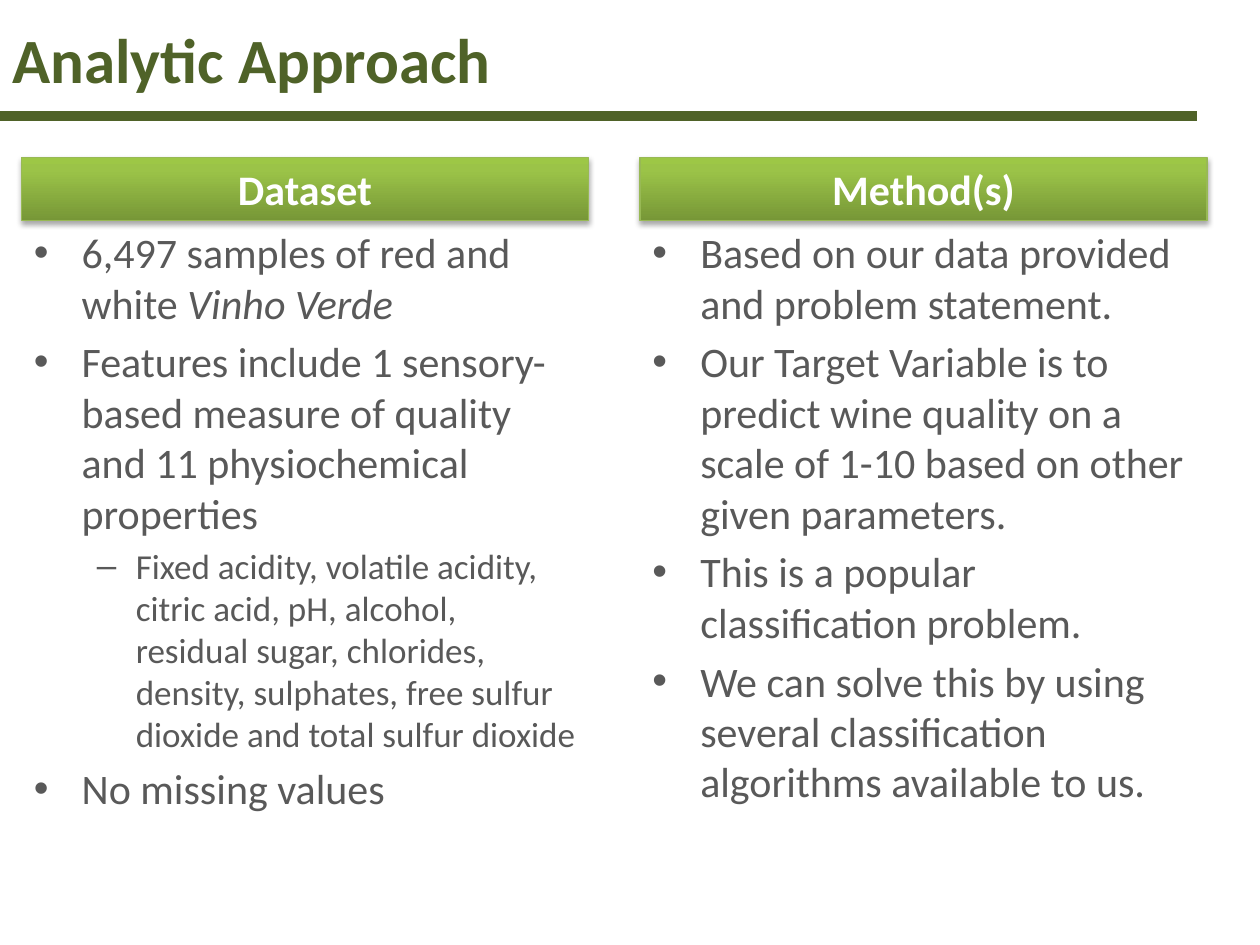
from dataclasses import dataclass

from lxml import etree
from pptx import Presentation
from pptx.dml.color import RGBColor
from pptx.enum.shapes import MSO_CONNECTOR as Connector, MSO_SHAPE as Shape
from pptx.enum.text import MSO_ANCHOR as Anchor, PP_ALIGN as Align
from pptx.oxml import parse_xml
from pptx.oxml.ns import nsdecls, qn
from pptx.util import Inches, Pt

OLIVE, GREY, WHITE, BORDER = "4F6228", "595959", "FFFFFF", "98B955"
HEADER_STOPS = ((0, "779737"), (80, "9BC348"), (100, "9DC746"))
COLUMN_WIDTH, HEADER_TOP, HEADER_HEIGHT, BODY_HEIGHT = 4.5, 1.25, 0.5, 5.25


@dataclass(frozen=True)
class Level:
    mark: str
    margin: float
    hanging: float
    size: int


@dataclass(frozen=True)
class Bullet:
    text: str
    italic_end: str = ""
    level: int = 0


@dataclass(frozen=True)
class Column:
    left: float
    heading: str
    bullets: tuple[Bullet, ...]


LEVELS = (Level("•", 0.38, 0.38, 24), Level("–", 0.81, 0.31, 20))

COLUMNS = (
    Column(0.17, "Dataset", (
        Bullet("6,497 samples of red and white ", italic_end="Vinho Verde"),
        Bullet("Features include 1 sensory-based measure of quality "
               "and 11 physiochemical properties"),
        Bullet("Fixed acidity, volatile acidity, citric acid, pH, alcohol, "
               "residual sugar, chlorides, density, sulphates, free sulfur "
               "dioxide and total sulfur dioxide", level=1),
        Bullet("No missing values"),
    )),
    Column(5.08, "Method(s)", (
        Bullet("Based on our data provided and problem statement."),
        Bullet("Our Target Variable is to predict wine quality on a scale "
               "of 1-10 based on other given parameters."),
        Bullet("This is a popular classification problem."),
        Bullet("We can solve this by using several classification "
               "algorithms available to us."),
    )),
)


def rgb(value: str) -> RGBColor:
    return RGBColor.from_string(value)


def add_span(para, text: str, color: str, **formats) -> None:
    span = para.add_run()
    span.text = text
    span.font.color.rgb = rgb(color)
    for name, value in {"name": "Calibri", **formats}.items():
        setattr(span.font, name, value)


def add_text_box(page, left: float, top: float, width: float, height: float):
    box = page.shapes.add_textbox(*map(Inches, (left, top, width, height)))
    box.text_frame.word_wrap = True
    return box.text_frame


def add_title(page, text: str) -> None:
    frame = add_text_box(page, 0, 0.01, 9.5, 0.91)
    frame.vertical_anchor = Anchor.MIDDLE
    add_span(frame.paragraphs[0], text, OLIVE, size=Pt(36), bold=True)


def add_rule(page) -> None:
    rule = page.shapes.add_connector(
        Connector.STRAIGHT, Inches(0), Inches(0.92), Inches(9.5), Inches(0.92))
    rule.line.color.rgb = rgb(OLIVE)
    rule.line.width = Pt(6)
    etree.SubElement(rule._element.spPr, qn("a:effectLst"))


def style_header(header) -> None:
    """Give the header its three-stop gradient, thin border and soft shadow."""
    header.line.color.rgb = rgb(BORDER)
    header.line.width = Pt(0.75)
    stops = "".join(
        f'<a:gs pos="{place * 1000}"><a:srgbClr val="{color}"/></a:gs>'
        for place, color in HEADER_STOPS)
    gradient = parse_xml(
        f'<a:gradFill {nsdecls("a")} rotWithShape="1"><a:gsLst>{stops}</a:gsLst>'
        '<a:lin ang="16200000" scaled="0"/></a:gradFill>')
    shadow = parse_xml(
        f'<a:effectLst {nsdecls("a")}><a:outerShdw blurRad="{Pt(3.1)}" '
        f'dist="{Pt(1.8)}" dir="5400000" rotWithShape="0">'
        '<a:srgbClr val="000000"><a:alpha val="35000"/></a:srgbClr>'
        '</a:outerShdw></a:effectLst>')
    properties = header._element.spPr
    properties.find(qn("a:ln")).addprevious(gradient)
    properties.append(shadow)


def add_header(page, column: Column) -> None:
    header = page.shapes.add_shape(Shape.RECTANGLE, *map(
        Inches, (column.left, HEADER_TOP, COLUMN_WIDTH, HEADER_HEIGHT)))
    style_header(header)
    header.text_frame.vertical_anchor = Anchor.MIDDLE
    para = header.text_frame.paragraphs[0]
    para.alignment = Align.CENTER
    add_span(para, column.heading, WHITE, size=Pt(24), bold=True)


def format_bullet(para, level: Level) -> None:
    """Set the hanging indent, the 20 % space before and the bullet mark."""
    properties = para._p.get_or_add_pPr()
    properties.set("marL", str(Inches(level.margin)))
    properties.set("indent", str(-Inches(level.hanging)))
    space = etree.SubElement(properties, qn("a:spcBef"))
    etree.SubElement(space, qn("a:spcPct"), val="20000")
    etree.SubElement(properties, qn("a:buFont"), typeface="Arial")
    etree.SubElement(properties, qn("a:buChar"), char=level.mark)


def add_bullets(page, column: Column) -> None:
    frame = add_text_box(page, column.left, HEADER_TOP + HEADER_HEIGHT,
                         COLUMN_WIDTH, BODY_HEIGHT)
    for index, bullet in enumerate(column.bullets):
        para = frame.add_paragraph() if index else frame.paragraphs[0]
        para.level = bullet.level
        level = LEVELS[bullet.level]
        format_bullet(para, level)
        add_span(para, bullet.text, GREY, size=Pt(level.size))
        if bullet.italic_end:
            add_span(para, bullet.italic_end, GREY, size=Pt(level.size), italic=True)


def main() -> None:
    deck = Presentation()
    deck.slide_width, deck.slide_height = Inches(10), Inches(7.5)
    page = deck.slides.add_slide(deck.slide_layouts[6])
    add_title(page, "Analytic Approach")
    add_rule(page)
    for column in COLUMNS:
        add_bullets(page, column)
        add_header(page, column)
    deck.save("out.pptx")


if __name__ == "__main__":
    main()
